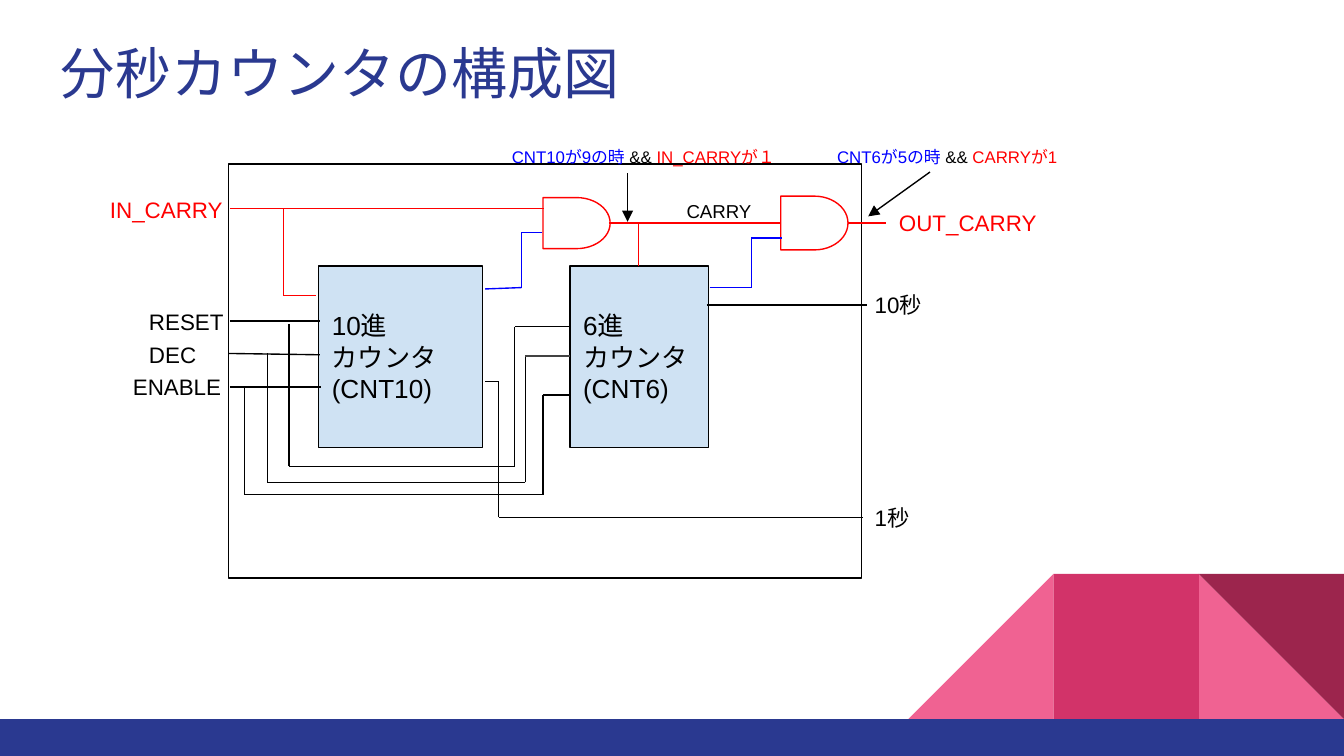
"""Builds a slide with the block diagram of a minute and second counter."""
from dataclasses import dataclass
from itertools import pairwise

from lxml import etree
from pptx import Presentation
from pptx.dml.color import RGBColor
from pptx.enum.shapes import MSO_CONNECTOR, MSO_SHAPE
from pptx.enum.text import MSO_ANCHOR, MSO_AUTO_SIZE, PP_ALIGN
from pptx.oxml.ns import qn
from pptx.util import Inches, Pt

RECTANGLE = MSO_SHAPE.RECTANGLE
TRIANGLE = MSO_SHAPE.RIGHT_TRIANGLE
GATE = MSO_SHAPE.FLOWCHART_DELAY
STRAIGHT = MSO_CONNECTOR.STRAIGHT
TOP, MIDDLE = MSO_ANCHOR.TOP, MSO_ANCHOR.MIDDLE
LEFT = PP_ALIGN.LEFT
NO_FIT, GROW = MSO_AUTO_SIZE.NONE, MSO_AUTO_SIZE.SHAPE_TO_FIT_TEXT

COLUMNS, ROWS = 100, 56.25
WIDTH, HEIGHT = Inches(10), Inches(5.625)
TITLE_ONLY = 5


@dataclass(frozen=True)
class Theme:
    black: str = "000000"
    gray: str = "434343"
    red: str = "FF0000"
    blue: str = "0000FF"
    white: str = "FFFFFF"
    block: str = "CFE2F3"
    navy: str = "2A3990"
    light_pink: str = "F06292"
    pink: str = "D23369"
    wine: str = "9C254D"
    title_font: str = "Roboto"
    body_font: str = "Arial"
    title_size: float = 30
    block_size: float = 14
    label_size: float = 12
    carry_size: float = 10
    note_size: float = 9
    line_width: float = 0.75
    inset: float = 1


class Diagram:
    def __init__(self, slide, theme):
        self.slide = slide
        self.theme = theme

    def place(self, left, top, width, height):
        return (round(left * WIDTH / COLUMNS), round(top * HEIGHT / ROWS),
                round(width * WIDTH / COLUMNS), round(height * HEIGHT / ROWS))

    def set_text(self, frame, paragraphs, size, font, anchor=TOP, fit=NO_FIT):
        frame.word_wrap = True
        frame.auto_size = fit
        frame.vertical_anchor = anchor
        inset = round(self.theme.inset * WIDTH / COLUMNS)
        frame.margin_left = frame.margin_right = inset
        frame.margin_top = frame.margin_bottom = inset
        for index, runs in enumerate(paragraphs):
            paragraph = frame.add_paragraph() if index else frame.paragraphs[0]
            paragraph.alignment = LEFT
            for text, color in runs:
                run = paragraph.add_run()
                run.text = text
                run.font.size = Pt(size)
                run.font.name = font
                run.font.color.rgb = RGBColor.from_string(color)
                properties = run.font._element
                etree.SubElement(properties, qn("a:ea"), typeface=font)

    def title(self, text, *box):
        shape = self.slide.shapes.title
        shape.left, shape.top, shape.width, shape.height = self.place(*box)
        self.set_text(shape.text_frame, [[(text, self.theme.navy)]],
                      self.theme.title_size, self.theme.title_font)

    def shape(self, kind, *box, fill=None, line=None, rotation=0, mirrored=False):
        shape = self.slide.shapes.add_shape(kind, *self.place(*box))
        shape.shadow.inherit = False
        shape.rotation = rotation
        if mirrored:
            shape._element.spPr.xfrm.set("flipH", "1")
        if fill:
            shape.fill.solid()
            shape.fill.fore_color.rgb = RGBColor.from_string(fill)
        else:
            shape.fill.background()
        if line:
            shape.line.color.rgb = RGBColor.from_string(line)
            shape.line.width = Pt(self.theme.line_width)
        else:
            shape.line.fill.background()
        return shape

    def counter(self, lines, *box):
        theme = self.theme
        shape = self.shape(RECTANGLE, *box, fill=theme.block, line=theme.black)
        self.set_text(shape.text_frame, [[(line, theme.black)] for line in lines],
                      theme.block_size, theme.body_font, anchor=MIDDLE)

    def label(self, runs, *box, size=None):
        shape = self.slide.shapes.add_textbox(*self.place(*box))
        self.set_text(shape.text_frame, [runs], size or self.theme.label_size,
                      self.theme.body_font, fit=GROW)

    def wire(self, color, *points, arrow=False):
        for start, end in pairwise(points):
            connector = self.slide.shapes.add_connector(
                STRAIGHT, *self.place(*start, *end))
            connector.line.color.rgb = RGBColor.from_string(color)
            connector.line.width = Pt(self.theme.line_width)
            if arrow:
                etree.SubElement(connector.line._get_or_add_ln(),
                                 qn("a:tailEnd"), type="triangle")
            etree.SubElement(connector._element.spPr, qn("a:effectLst"))


def draw_decoration(diagram):
    theme = diagram.theme
    side = 10.8
    bar_top = 53.5
    top = bar_top - side
    left, middle, right = (COLUMNS - side * count for count in (3, 2, 1))
    diagram.shape(TRIANGLE, right, top, side, side, fill=theme.light_pink)
    diagram.shape(TRIANGLE, left, top, side, side, fill=theme.light_pink, mirrored=True)
    diagram.shape(RECTANGLE, middle, top, side, side, fill=theme.pink)
    diagram.shape(TRIANGLE, right, top, side, side, fill=theme.wine, rotation=180)
    diagram.shape(RECTANGLE, 0, bar_top, COLUMNS, ROWS - bar_top, fill=theme.navy)


def draw_blocks(diagram):
    theme = diagram.theme
    diagram.shape(RECTANGLE, 17, 12.2, 47.1, 30.8, line=theme.black)
    diagram.counter(["10進", "カウンタ(CNT10)"], 23.7, 19.8, 12.2, 13.5)
    diagram.counter(["6進", "カウンタ", "(CNT6)"], 42.4, 19.8, 10.3, 13.5)
    diagram.shape(GATE, 40.4, 14.7, 5, 3.8, line=theme.red)
    diagram.shape(GATE, 58.1, 14.6, 5, 4, fill=theme.white, line=theme.red)


def draw_wires(diagram):
    black, red, blue = diagram.theme.black, diagram.theme.red, diagram.theme.blue
    diagram.wire(red, (17.1, 15.5), (40.5, 15.5))
    diagram.wire(red, (21.1, 15.5), (21.1, 22), (23.5, 22))
    diagram.wire(red, (45.3, 16.6), (58.1, 16.6))
    diagram.wire(red, (47.5, 19.8), (47.5, 16.6))
    diagram.wire(red, (63.1, 16.6), (65.9, 16.6))
    diagram.wire(blue, (36.1, 21.5), (38.8, 21.4), (38.8, 17.3), (40.3, 17.3))
    diagram.wire(blue, (52.8, 21.4), (55.9, 21.4), (55.9, 17.7), (58.2, 17.7))
    diagram.wire(black, (17.1, 23.9), (23.8, 23.9))
    diagram.wire(black, (17, 26.3), (23.8, 26.4))
    diagram.wire(black, (17.1, 28.8), (23.9, 28.8))
    diagram.wire(black, (21.5, 24.1), (21.5, 34.7), (38.3, 34.7), (38.3, 24.3), (42.4, 24.3))
    diagram.wire(black, (19.9, 26.3), (19.9, 35.9), (39.1, 35.9), (39.1, 26.5))
    diagram.wire(diagram.theme.gray, (39.1, 26.5), (42.4, 26.5))
    diagram.wire(black, (18.2, 28.9), (18.2, 36.8), (40.4, 36.8), (40.4, 29.4), (42.4, 29.4))
    diagram.wire(black, (36.1, 28.4), (37.1, 28.4), (37.1, 38.5), (64.2, 38.5))
    diagram.wire(black, (52.6, 22.7), (64.5, 22.7))
    diagram.wire(black, (46.7, 12.9), (46.7, 16.5), arrow=True)
    diagram.wire(black, (69.2, 12.8), (64.6, 16.1), arrow=True)


def draw_labels(diagram):
    theme = diagram.theme
    black, red, blue = theme.black, theme.red, theme.blue
    for text, color, left, top, width in (
            ("IN_CARRY", red, 7.2, 13.6, 11), ("RESET", black, 10.1, 21.9, 8.9),
            ("DEC", black, 10.1, 24.4, 8.9), ("ENABLE", black, 8.9, 26.8, 8.9),
            ("OUT_CARRY", red, 65.9, 14.6, 13.1), ("10秒", black, 64.1, 20.7, 13.1),
            ("1秒", black, 64.1, 36.5, 13.1)):
        diagram.label([(text, color)], left, top, width, 4)
    diagram.label([("CARRY", black)], 50.1, 14, 7.5, 3.7, size=theme.carry_size)
    diagram.label([("CNT10が9の時", blue), (" &&", black), (" IN_CARRYが１", red)],
                  37.1, 9.9, 22.3, 3.5, size=theme.note_size)
    diagram.label([("CNT6が5の時", blue), (" && ", black), ("CARRYが1", red)],
                  61.3, 9.9, 19.5, 3.5, size=theme.note_size)


def main():
    presentation = Presentation()
    presentation.slide_width, presentation.slide_height = WIDTH, HEIGHT
    layout = presentation.slide_layouts[TITLE_ONLY]
    diagram = Diagram(presentation.slides.add_slide(layout), Theme())
    draw_decoration(diagram)
    diagram.title("分秒カウンタの構成図", 3.4, 1.9, 93.2, 6.6)
    draw_blocks(diagram)
    draw_wires(diagram)
    draw_labels(diagram)
    presentation.save("out.pptx")


if __name__ == "__main__":
    main()
